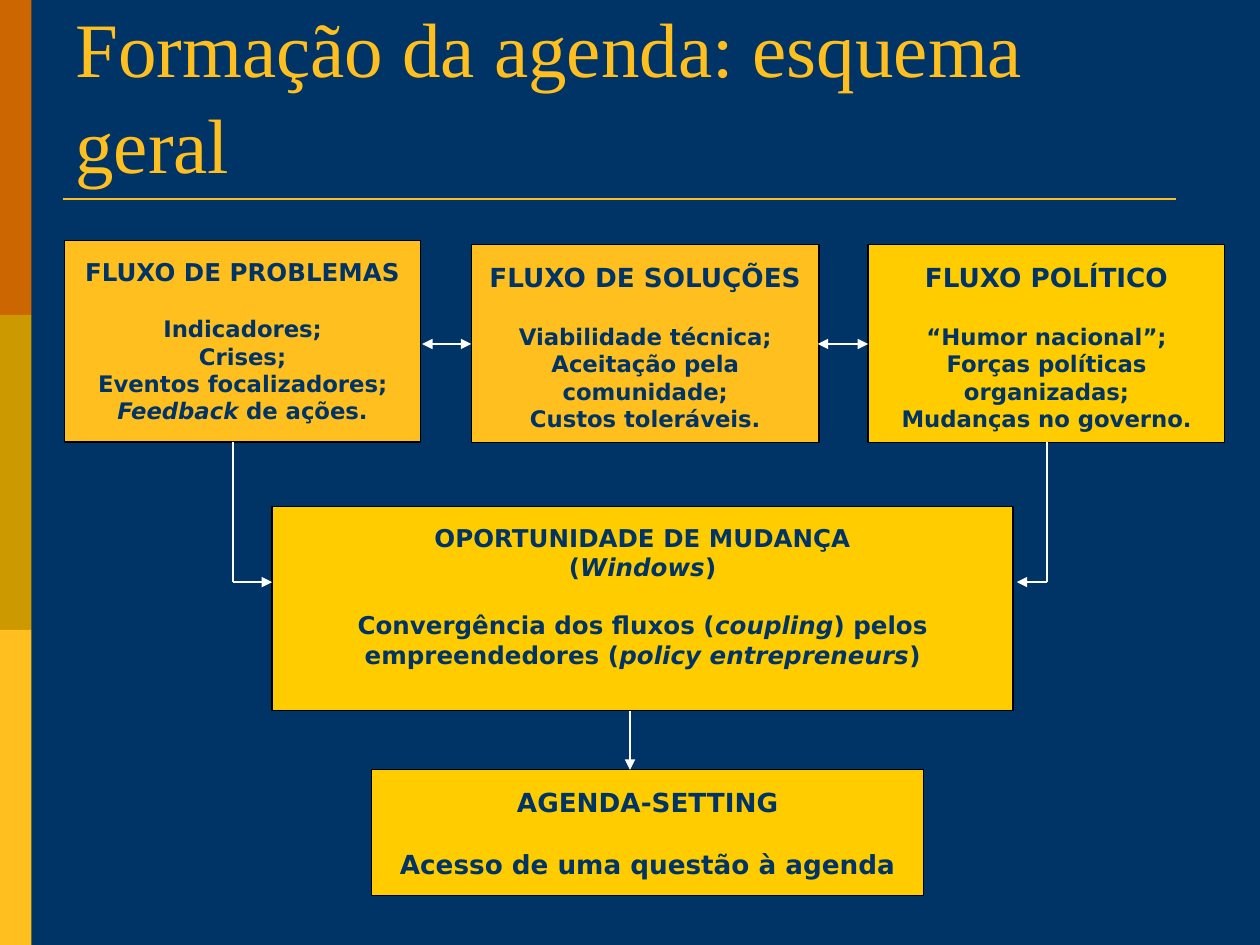
from dataclasses import dataclass

from lxml.etree import SubElement
from pptx import Presentation
from pptx.dml.color import RGBColor
from pptx.enum.shapes import MSO_CONNECTOR, MSO_SHAPE
from pptx.enum.text import MSO_ANCHOR, PP_ALIGN
from pptx.oxml.ns import qn
from pptx.util import Inches, Pt


@dataclass(frozen=True)
class Theme:
    navy: str = "003366"
    amber: str = "FFBF1F"
    yellow: str = "FFCC00"
    orange: str = "CC6600"
    olive: str = "CC9900"
    white: str = "FFFFFF"
    black: str = "000000"
    title_font: str = "Times New Roman"
    body_font: str = "DejaVu Sans"
    title: int = 44
    large: int = 15
    medium: int = 14
    small: int = 13
    rule: float = 1.5
    thin: float = 0.75
    line_height: float = 1.164


T = Theme()

TITLE = "Formação da agenda: esquema geral"
BANDS = [T.orange, T.olive, T.amber]
BOXES = [
    dict(at=(0.51, 1.91, 2.83, 1.6), fill=T.amber, head=["FLUXO DE PROBLEMAS"],
         body=["Indicadores;", "Crises;", "Eventos focalizadores;", "*Feedback* de ações."],
         sizes=(T.medium, T.small)),
    dict(at=(3.74, 1.94, 2.76, 1.57), fill=T.amber, head=["FLUXO DE SOLUÇÕES"],
         body=["Viabilidade técnica;", "Aceitação pela comunidade;", "Custos toleráveis."],
         sizes=(T.large, T.small)),
    dict(at=(6.89, 1.94, 2.83, 1.57), fill=T.yellow, head=["FLUXO POLÍTICO"],
         body=["“Humor nacional”;", "Forças políticas organizadas;", "Mudanças no governo."],
         sizes=(T.large, T.small)),
    dict(at=(2.16, 4.02, 5.88, 1.62), fill=T.yellow,
         head=["OPORTUNIDADE DE MUDANÇA", "(*Windows*)"],
         body=["Convergência dos fluxos (*coupling*) pelos empreendedores (*policy entrepreneurs*)"],
         sizes=(T.medium, T.medium)),
    dict(at=(2.95, 6.11, 4.38, 1), fill=T.yellow, head=["AGENDA-SETTING"],
         body=["Acesso de uma questão à agenda"], sizes=(T.large, T.large)),
]
LINES = [
    ((3.35, 2.73), (3.74, 2.73), ("headEnd", "tailEnd")),
    ((6.49, 2.73), (6.89, 2.73), ("headEnd", "tailEnd")),
    ((1.85, 3.51), (1.85, 4.62), ()),
    ((8.31, 3.51), (8.31, 4.62), ()),
    ((1.85, 4.62), (2.16, 4.62), ("tailEnd",)),
    ((8.31, 4.62), (8.07, 4.62), ("tailEnd",)),
    ((5, 5.64), (5, 6.11), ("tailEnd",)),
]


def rgb(color):
    return RGBColor.from_string(color)


def add_text(p, text, *, font, size, color, bold=False, align=PP_ALIGN.LEFT, before=0, spacing=None):
    p.alignment = align
    if before:
        p.space_before = Pt(before)
    if spacing:
        p.line_spacing = spacing
    for i, part in enumerate(text.split("*")):
        if part:
            r = p.add_run()
            r.text = part
            r.font.name, r.font.size = font, Pt(size)
            r.font.bold, r.font.italic = bold, i % 2 == 1
            r.font.color.rgb = rgb(color)


def add_rect(s, at, fill, border=None):
    sp = s.shapes.add_shape(MSO_SHAPE.RECTANGLE, *map(Inches, at))
    sp.shadow.inherit = False
    sp.fill.solid()
    sp.fill.fore_color.rgb = rgb(fill)
    if border:
        sp.line.color.rgb = rgb(border)
        sp.line.width = Pt(T.thin)
    else:
        sp.line.fill.background()
    return sp


def add_box(s, at, fill, head, body, sizes):
    tf = add_rect(s, at, fill, T.black).text_frame
    tf.word_wrap = True
    tf.vertical_anchor = MSO_ANCHOR.TOP
    tf.margin_top = Inches(0.13)
    for i, text in enumerate(head + body):
        p = tf.add_paragraph() if i else tf.paragraphs[0]
        gap = sizes[0] * T.line_height if i == len(head) else 0
        add_text(p, text, font=T.body_font, size=sizes[i >= len(head)], color=T.navy,
                 bold=True, align=PP_ALIGN.CENTER, before=gap)


def add_line(s, start, end, color, width, arrows=()):
    c = s.shapes.add_connector(MSO_CONNECTOR.STRAIGHT, *map(Inches, start + end))
    c.line.color.rgb = rgb(color)
    c.line.width = Pt(width)
    spPr = c._element.spPr
    for arrow in arrows:
        SubElement(spPr.find(qn("a:ln")), qn(f"a:{arrow}"), type="triangle")
    SubElement(spPr, qn("a:effectLst"))


def main():
    """Build the agenda-formation diagram slide."""
    prs = Presentation()
    prs.slide_width, prs.slide_height = Inches(10), Inches(7.5)
    s = prs.slides.add_slide(prs.slide_layouts[6])
    s.background.fill.solid()
    s.background.fill.fore_color.rgb = rgb(T.navy)

    for i, color in enumerate(BANDS):
        add_rect(s, (0, 2.5 * i, 0.25, 2.5), color)
    add_line(s, (0.5, 1.58), (9.33, 1.58), T.amber, T.rule)

    tf = s.shapes.add_textbox(*map(Inches, (0.5, 0.3, 9, 1.25))).text_frame
    tf.word_wrap = True
    tf.vertical_anchor = MSO_ANCHOR.BOTTOM
    add_text(tf.paragraphs[0], TITLE, font=T.title_font, size=T.title, color=T.amber, spacing=1.04)

    for box in BOXES:
        add_box(s, **box)
    for start, end, arrows in LINES:
        add_line(s, start, end, T.white, T.thin, arrows)
    prs.save("out.pptx")


if __name__ == "__main__":
    main()
